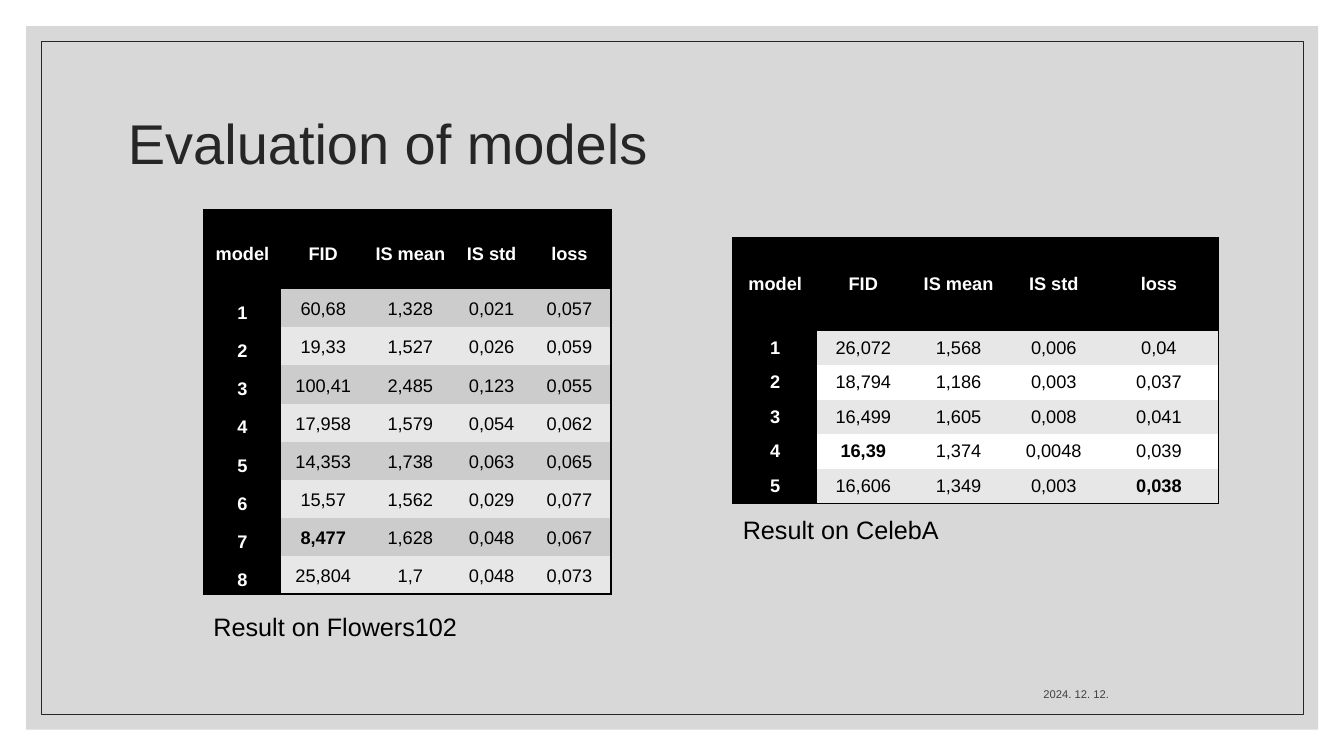
"""Build a slide comparing model evaluation results on two data sets."""
from dataclasses import dataclass

from lxml.etree import SubElement
from pptx import Presentation
from pptx.dml.color import RGBColor
from pptx.enum.shapes import MSO_SHAPE
from pptx.enum.text import MSO_ANCHOR, PP_ALIGN
from pptx.oxml.ns import qn
from pptx.util import Cm, Pt

FONT = "Arial"
PLAIN_TABLE_STYLE = "{2D5ABB26-0587-4C30-8999-92F81FD0307C}"
HEADERS = ("model", "FID", "IS mean", "IS std", "loss")


@dataclass
class Panel:
    left: float
    top: float
    width: float
    height: float
    fill: str = ""
    line: str = ""


@dataclass
class Label:
    text: str
    left: float
    top: float
    width: float
    size: float
    colour: str = "000000"
    align: PP_ALIGN = PP_ALIGN.LEFT
    anchor: MSO_ANCHOR = MSO_ANCHOR.TOP
    space_after: float = 0


@dataclass
class Results:
    left: float
    top: float
    widths: tuple[float, ...]
    header_height: float
    row_height: float
    inset: float
    spacing: float
    anchor: MSO_ANCHOR
    bands: tuple[str, str]
    bold: set[tuple[int, int]]
    rows: tuple[str, ...]


PANELS = (
    Panel(0.66, 0.66, 32.56, 17.73, fill="BFBFBF"),
    Panel(1.04, 1.04, 31.8, 16.97, line="262626"),
)

LABELS = (
    Label("2024. 12. 12.", 20.17, 16.76, 8.03, 8, "404040",
          PP_ALIGN.RIGHT, MSO_ANCHOR.BOTTOM, 6),
    Label("Result on Flowers102", 5.13, 15.27, 9.17, 18),
    Label("Result on CelebA", 18.47, 12.83, 9.17, 18),
)

TABLES = (
    Results(18.47, 5.99, (2.13, 2.31, 2.49, 2.31, 2.99), 2.34, 0.87, 0.25, 1,
            MSO_ANCHOR.MIDDLE, ("E7E7E7", "FFFFFF"), {(4, 1), (5, 4)}, (
                "26,072 1,568 0,006 0,04",
                "18,794 1,186 0,003 0,037",
                "16,499 1,605 0,008 0,041",
                "16,39 1,374 0,0048 0,039",
                "16,606 1,349 0,003 0,038",
            )),
    Results(5.13, 5.28, (1.96, 2.11, 2.28, 1.82, 2.1), 2.01, 0.96, 0.18, 1.5,
            MSO_ANCHOR.TOP, ("CCCCCC", "E7E7E7"), {(7, 1)}, (
                "60,68 1,328 0,021 0,057",
                "19,33 1,527 0,026 0,059",
                "100,41 2,485 0,123 0,055",
                "17,958 1,579 0,054 0,062",
                "14,353 1,738 0,063 0,065",
                "15,57 1,562 0,029 0,077",
                "8,477 1,628 0,048 0,067",
                "25,804 1,7 0,048 0,073",
            )),
)


def rgb(colour: str) -> RGBColor:
    """Turn a hex string into a colour."""
    return RGBColor.from_string(colour)


def style(p, size: float, colour: str, bold: bool = False) -> None:
    """Set the font of a whole paragraph."""
    p.font.name = FONT
    p.font.size = Pt(size)
    p.font.bold = bold
    p.font.color.rgb = rgb(colour)


def add_panel(s, panel: Panel) -> None:
    """Draw a translucent or outlined background rectangle."""
    sp = s.shapes.add_shape(MSO_SHAPE.RECTANGLE, Cm(panel.left), Cm(panel.top),
                            Cm(panel.width), Cm(panel.height))
    sp.shadow.inherit = False
    if panel.fill:
        sp.fill.solid()
        sp.fill.fore_color.rgb = rgb(panel.fill)
        colour = sp.fill._xPr.find(qn("a:solidFill"))[0]
        SubElement(colour, qn("a:alpha"), val="60000")
    else:
        sp.fill.background()
    if panel.line:
        sp.line.color.rgb = rgb(panel.line)
        sp.line.width = Pt(0.5)
    else:
        sp.line.fill.background()


def add_title(s, text: str) -> None:
    """Fill the title placeholder and bring it in front of the panels."""
    sp = s.shapes.title
    s.shapes._spTree.append(sp._element)
    sp.left, sp.top, sp.width, sp.height = Cm(2.97), Cm(1.78), Cm(27.94), Cm(3.81)
    tf = sp.text_frame
    tf.text = text
    tf.vertical_anchor = MSO_ANCHOR.MIDDLE
    p = tf.paragraphs[0]
    p.alignment = PP_ALIGN.LEFT
    p.line_spacing = 0.9
    style(p, 40, "262626")


def add_label(s, label: Label) -> None:
    """Add a one-line text box."""
    sp = s.shapes.add_textbox(Cm(label.left), Cm(label.top), Cm(label.width), Cm(1.02))
    tf = sp.text_frame
    tf.word_wrap = True
    tf.vertical_anchor = label.anchor
    p = tf.paragraphs[0]
    p.text = label.text
    p.alignment = label.align
    p.space_after = Pt(label.space_after)
    style(p, label.size, label.colour)


def add_border(cell, side: str) -> None:
    """Draw a black line on one side of a cell."""
    ln = SubElement(cell._tc.get_or_add_tcPr(), qn(f"a:ln{side}"), w=str(Pt(1)))
    SubElement(SubElement(ln, qn("a:solidFill")), qn("a:srgbClr"), val="000000")


def add_results(s, results: Results) -> None:
    """Add a table with a black header row and column and banded values."""
    grid = [HEADERS] + [(str(n), *row.split()) for n, row in enumerate(results.rows, 1)]
    last_row, last_col = len(grid) - 1, len(HEADERS) - 1
    height = results.header_height + last_row * results.row_height
    table = s.shapes.add_table(len(grid), len(HEADERS), Cm(results.left), Cm(results.top),
                               Cm(sum(results.widths)), Cm(height)).table
    table._tbl.tblPr.find(qn("a:tableStyleId")).text = PLAIN_TABLE_STYLE
    for column, width in zip(table.columns, results.widths):
        column.width = Cm(width)
    for i, values in enumerate(grid):
        table.rows[i].height = Cm(results.row_height if i else results.header_height)
        for j, value in enumerate(values):
            cell = table.cell(i, j)
            heading = i == 0 or j == 0
            edges = {"L": j == 0, "R": j == last_col, "T": i == 0, "B": i == last_row}
            for side, outer in edges.items():
                if outer:
                    add_border(cell, side)
            cell.fill.solid()
            cell.fill.fore_color.rgb = rgb("000000" if heading else results.bands[(i - 1) % 2])
            cell.margin_left = cell.margin_right = Cm(results.inset)
            cell.margin_top = cell.margin_bottom = 0
            cell.vertical_anchor = MSO_ANCHOR.MIDDLE if heading else results.anchor
            p = cell.text_frame.paragraphs[0]
            p.text = value
            p.alignment = PP_ALIGN.CENTER
            p.line_spacing = results.spacing
            p.space_after = Pt(0 if i else 6)
            style(p, 13, "FFFFFF" if heading else "000000",
                  heading or (i, j) in results.bold)


def main() -> None:
    """Build and save the slide."""
    prs = Presentation()
    prs.slide_width, prs.slide_height = Cm(33.87), Cm(19.05)
    s = prs.slides.add_slide(prs.slide_layouts[5])
    for panel in PANELS:
        add_panel(s, panel)
    add_title(s, "Evaluation of models")
    for results in TABLES:
        add_results(s, results)
    for label in LABELS:
        add_label(s, label)
    prs.save("out.pptx")


if __name__ == "__main__":
    main()
